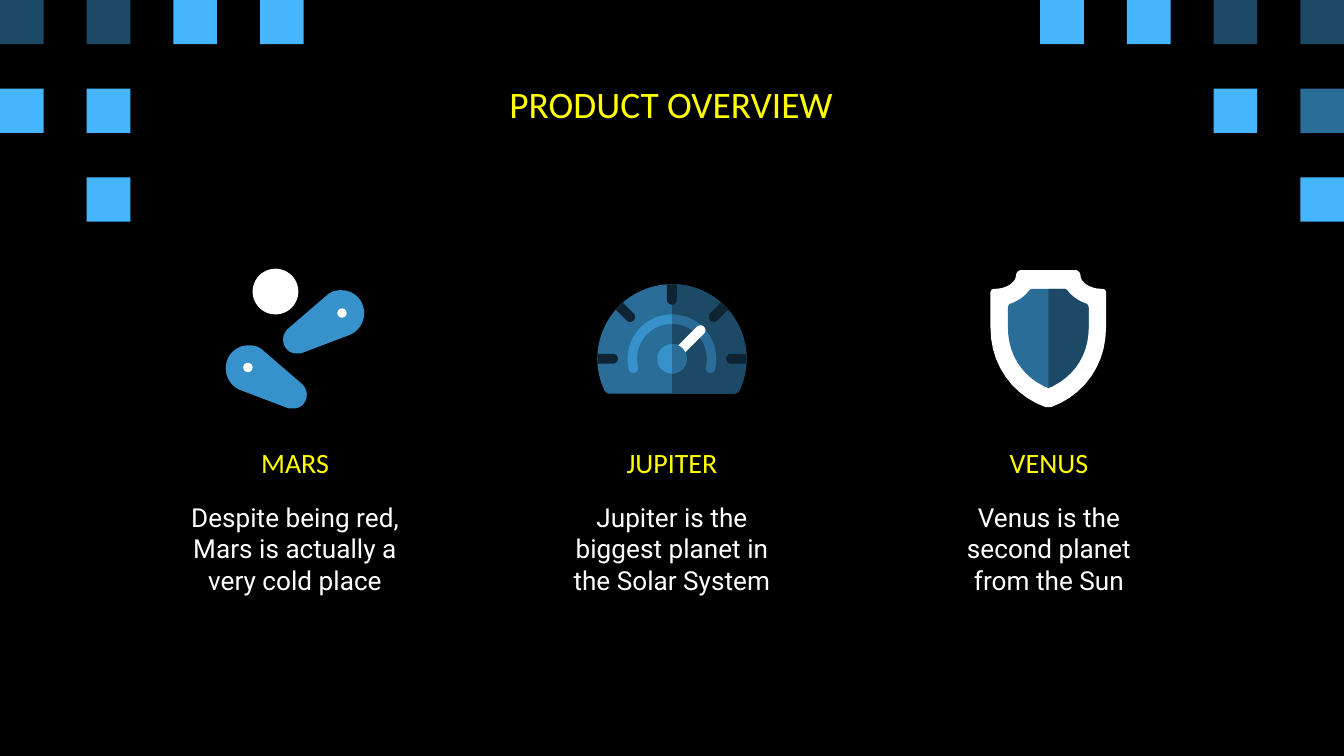
from dataclasses import dataclass
from math import cos, radians, sin
from typing import NamedTuple

from pptx import Presentation
from pptx.dml.color import RGBColor as Rgb
from pptx.enum.shapes import MSO_SHAPE as Kind
from pptx.enum.text import MSO_ANCHOR as Anchor, PP_ALIGN as Align
from pptx.util import Cm, Pt


@dataclass(frozen=True)
class Theme:
    back: str = "000000"
    white: str = "FFFFFF"
    yellow: str = "FFFF00"
    light: str = "45B6FE"
    bright: str = "3792CB"
    mid: str = "296D98"
    dark: str = "1C4966"
    ink: str = "0E2433"
    head: str = "Calibri"
    body: str = "Roboto"
    title: int = 20
    label: int = 15
    note: int = 14


class Point(NamedTuple):
    x: float
    y: float


class Planet(NamedTuple):
    name: str
    note: str


Path = list[Point]
THEME = Theme()
PLANETS = [
    Planet("MARS", "Despite being red, Mars is actually a very cold place"),
    Planet("JUPITER", "Jupiter is the biggest planet in the Solar System"),
    Planet("VENUS", "Venus is the second planet from the Sun"),
]
TILES = [
    "DDLL........LLDD",
    "LL............LM",
    ".L.............L",
]
FLIPPER = [
    (2.54, 2.16), (2.5, 2.16, 2.46, 2.17, 2.43, 2.2), (2.14, 2.45),
    (2.07, 2.52, 2.12, 2.63, 2.2, 2.63), (2.22, 2.63, 2.23, 2.63, 2.24, 2.63),
    (2.61, 2.49), (2.67, 2.46, 2.71, 2.4, 2.71, 2.33),
    (2.71, 2.24, 2.64, 2.16, 2.54, 2.16),
]
SHIELD = [
    (7.8, 2.01), (8, 2.01), (8.02, 2.01, 8.04, 2.03, 8.04, 2.05),
    (8.04, 2.1, 8.11, 2.15, 8.2, 2.15), (8.22, 2.15, 8.23, 2.16, 8.23, 2.18),
    (8.23, 2.44), (8.23, 2.71, 8.07, 2.94, 7.82, 3.03), (7.8, 3.03),
]
CREST = [
    (7.8, 2.15), (7.91, 2.15), (7.92, 2.15, 7.93, 2.15, 7.94, 2.16),
    (7.97, 2.2, 8.02, 2.24, 8.08, 2.26), (8.09, 2.26, 8.1, 2.28, 8.1, 2.29),
    (8.1, 2.44), (8.1, 2.63, 8, 2.79, 7.84, 2.87),
    (7.83, 2.88, 7.81, 2.88, 7.8, 2.89),
]


def inch(size: float) -> Cm:
    return Cm(size * 2.54)


def trace(parts: list[tuple], steps: int = 10) -> Path:
    path: Path = []
    for part in parts:
        if len(part) == 2:
            path.append(Point(*part))
            continue
        ends = [path[-1], *(Point(*part[i:i + 2]) for i in (0, 2, 4))]
        for step in range(1, steps + 1):
            t = step / steps
            mix = ((1 - t) ** 3, 3 * t * (1 - t) ** 2, 3 * t * t * (1 - t), t ** 3)
            path.append(Point(sum(m * p.x for m, p in zip(mix, ends)),
                              sum(m * p.y for m, p in zip(mix, ends))))
    return path


def arc(mid: Point, size: float, start: float, end: float, steps: int = 30) -> Path:
    turns = [radians(start + (end - start) * i / steps) for i in range(steps + 1)]
    return [Point(mid.x + size * cos(a), mid.y + size * sin(a)) for a in turns]


def mirror(path: Path, axis: float, drop: float = 0) -> Path:
    return [Point(2 * axis - p.x, p.y + drop) for p in path]


def whole(half: Path, axis: float) -> Path:
    return half + mirror(half, axis)[::-1]


def bar(mid: Point, turn: float, base: float, tip: float, half: float = 0.037) -> Path:
    side = 1 if tip > base else -1
    a = radians(turn)
    foot = Point(mid.x + base * cos(a), mid.y + base * sin(a))
    cap = Point(mid.x + tip * cos(a), mid.y + tip * sin(a))
    dx, dy = side * half * sin(a), side * half * cos(a)
    start = turn if side > 0 else turn + 180
    return [Point(foot.x + dx, foot.y - dy), *arc(cap, half, start - 90, start + 90),
            Point(foot.x - dx, foot.y + dy)]


def paint(shape, color: str) -> None:
    shape.shadow.inherit = False
    shape.fill.solid()
    shape.fill.fore_color.rgb = Rgb.from_string(color)
    shape.line.fill.background()


def draw(shapes, path: Path, color: str) -> None:
    spots = [(inch(p.x), inch(p.y)) for p in path]
    pen = shapes.build_freeform(*spots[0], scale=1.0)
    pen.add_line_segments(spots[1:], close=True)
    paint(pen.convert_to_shape(), color)


def block(shapes, kind: Kind, x: float, y: float, w: float, h: float, color: str) -> None:
    paint(shapes.add_shape(kind, inch(x), inch(y), inch(w), inch(h)), color)


def disc(shapes, mid: Point, size: float, color: str) -> None:
    block(shapes, Kind.OVAL, mid.x - size, mid.y - size, 2 * size, 2 * size, color)


def write(shapes, text: str, *, x: float, y: float, w: float, h: float,
          size: int, font: str, color: str, pad: float = 0.1) -> None:
    frame = shapes.add_textbox(inch(x), inch(y), inch(w), inch(h)).text_frame
    frame.word_wrap = True
    frame.vertical_anchor = Anchor.MIDDLE
    frame.margin_left = frame.margin_right = inch(pad)
    frame.margin_top = frame.margin_bottom = inch(pad)
    para = frame.paragraphs[0]
    para.alignment = Align.CENTER
    run = para.add_run()
    run.text = text
    run.font.size = Pt(size)
    run.font.name = font
    run.font.color.rgb = Rgb.from_string(color)


def tiles(shapes) -> None:
    tones = {"D": THEME.dark, "M": THEME.mid, "L": THEME.light}
    for row, line in enumerate(TILES):
        for col, key in enumerate(line):
            if key in tones:
                block(shapes, Kind.RECTANGLE, col * 0.645, row * 0.66,
                      0.325, 0.33, tones[key])


def pinball(shapes) -> None:
    upper = trace(FLIPPER)
    draw(shapes, upper, THEME.bright)
    draw(shapes, mirror(upper, 2.195, 0.41), THEME.bright)
    for pin in (Point(1.845, 2.735), Point(2.545, 2.33)):
        disc(shapes, pin, 0.035, THEME.white)
    disc(shapes, Point(2.05, 2.17), 0.17, THEME.white)


def gauge(shapes) -> None:
    hub = Point(5, 2.67)
    dial = arc(hub, 0.555, -90, 25) + [Point(5.49, 2.92), Point(5.47, 2.93), Point(5, 2.93)]
    draw(shapes, whole(dial, hub.x), THEME.mid)
    draw(shapes, dial, THEME.dark)
    for turn in range(180, 361, 45):
        draw(shapes, bar(hub, turn, 0.553, 0.44), THEME.ink)
    end = arc(hub, 0.295, 14, 14, 1)[0]
    ring = (arc(hub, 0.33, -90, 14) + arc(end, 0.035, 14, 194)
            + arc(hub, 0.26, 14, -90))
    draw(shapes, mirror(ring, hub.x), THEME.bright)
    draw(shapes, ring, THEME.mid)
    disc(shapes, hub, 0.11, THEME.bright)
    draw(shapes, bar(hub, -45, 0.07, 0.3), THEME.white)
    draw(shapes, arc(hub, 0.11, -90, 90), THEME.mid)


def shield(shapes) -> None:
    crest = trace(CREST)
    draw(shapes, whole(trace(SHIELD), 7.8), THEME.white)
    draw(shapes, whole(crest, 7.8), THEME.mid)
    draw(shapes, crest, THEME.dark)


def main() -> None:
    deck = Presentation()
    deck.slide_width, deck.slide_height = Cm(25.4), Cm(14.29)
    slide = deck.slides.add_slide(deck.slide_layouts[6])
    slide.background.fill.solid()
    slide.background.fill.fore_color.rgb = Rgb.from_string(THEME.back)
    shapes = slide.shapes
    tiles(shapes)
    write(shapes, "PRODUCT OVERVIEW", x=0.78, y=0.59, w=8.43, h=0.36,
          size=THEME.title, font=THEME.head, color=THEME.yellow)
    for i, (planet, icon) in enumerate(zip(PLANETS, (pinball, gauge, shield))):
        left = 1.155 + i * 2.805
        write(shapes, planet.note, x=left, y=3.64, w=2.08, h=0.88, pad=0.2,
              size=THEME.note, font=THEME.body, color=THEME.white)
        write(shapes, planet.name, x=left, y=3.23, w=2.08, h=0.42,
              size=THEME.label, font=THEME.head, color=THEME.yellow)
        icon(shapes.add_group_shape().shapes)
    deck.save("out.pptx")


if __name__ == "__main__":
    main()
